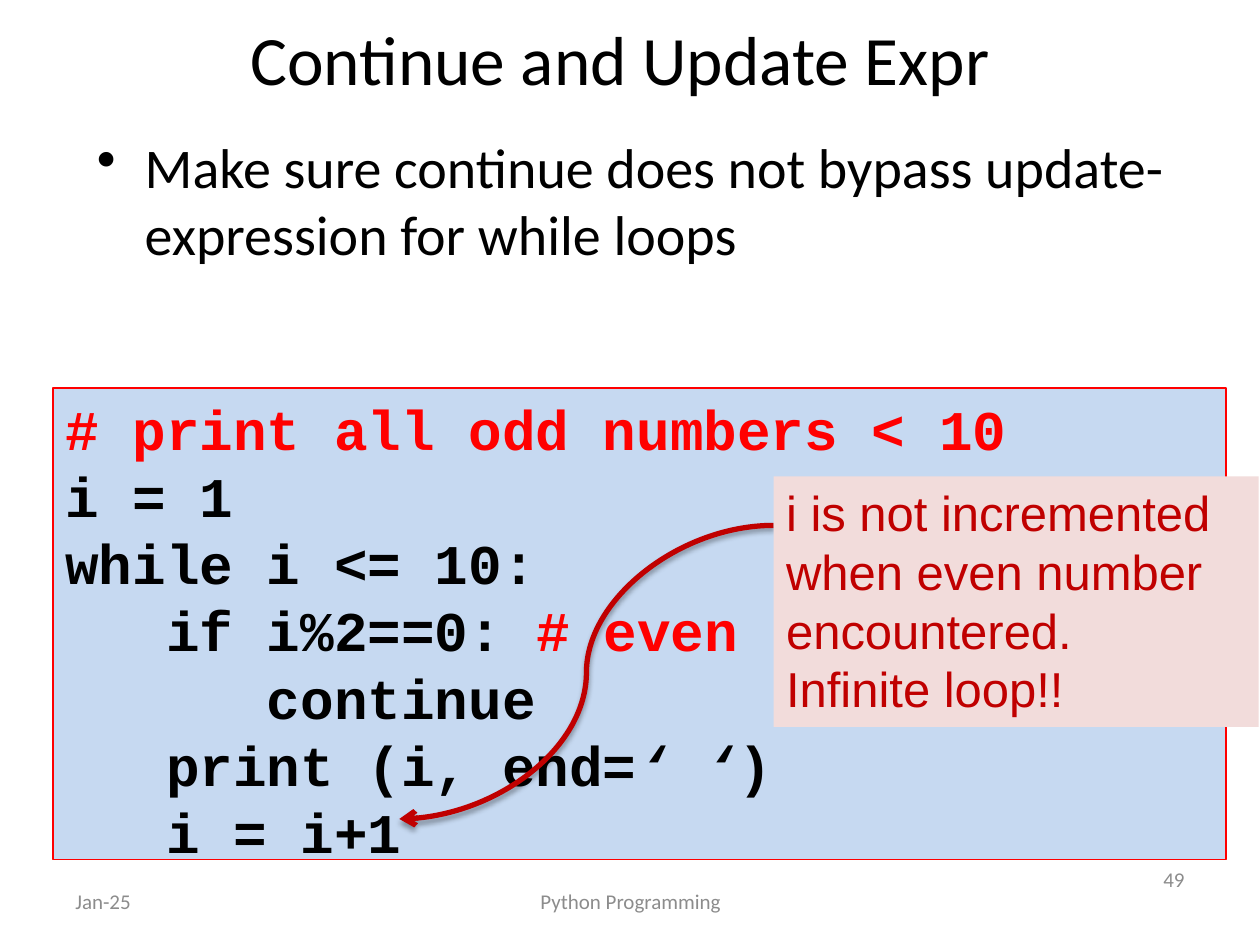
import pptx
import pptx.util
import pptx.dml.color
import pptx.enum.shapes
import pptx.enum.text
import pptx.oxml
import pptx.oxml.ns

PX = 9144
COLORS = {
    "black": "000000", "gray": "8C8C8C", "red": "FF0000",
    "blue": "C6D9F1", "pink": "F2DCDB", "crimson": "C00000",
}
ALIGN = pptx.enum.text.PP_ALIGN
ANCHOR = pptx.enum.text.MSO_ANCHOR
CODE = [
    [("# print all odd numbers < 10", {"color": "red"})],
    [("i = 1", {})],
    [("while i <= 10:", {})],
    [("   if i%2==0: ", {}), ("# even", {"color": "red"})],
    [("      continue", {})],
    [("   print (i, end=", {}), ("‘ ‘", {"italic": True}), (")", {})],
    [("   i = i+1", {})],
]


def rgb(name):
    return pptx.dml.color.RGBColor.from_string(COLORS[name])


def emu(box):
    return [length * PX for length in box]


def write(shape, lines, size, font="Calibri", color="black", bold=False,
          align=ALIGN.LEFT, anchor=ANCHOR.TOP, bullet=None):
    frame = shape.text_frame
    frame.word_wrap = True
    frame.vertical_anchor = anchor
    for index, line in enumerate(lines):
        para = frame.paragraphs[0] if index == 0 else frame.add_paragraph()
        para.alignment = align
        if bullet:
            properties = para._p.get_or_add_pPr()
            properties.set("marL", str(38 * PX))
            properties.set("indent", str(-38 * PX))
            mark = pptx.oxml.parse_xml(
                f'<a:buChar {pptx.oxml.ns.nsdecls("a")} char="{bullet}"/>')
            properties.append(mark)
        for text, style in [(line, {})] if isinstance(line, str) else line:
            span = para.add_run()
            span.text = text
            span.font.name = font
            span.font.size = pptx.util.Pt(size)
            span.font.bold = bold
            span.font.italic = style.get("italic", False)
            span.font.color.rgb = rgb(style.get("color", color))


def add_text(page, box, text, **style):
    write(page.shapes.add_textbox(*emu(box)), [text], **style)


def add_panel(page, box, lines, fill, line=None, **style):
    panel = page.shapes.add_shape(
        pptx.enum.shapes.MSO_SHAPE.RECTANGLE, *emu(box))
    panel.shadow.inherit = False
    panel.fill.solid()
    panel.fill.fore_color.rgb = rgb(fill)
    if line:
        panel.line.color.rgb = rgb(line)
        panel.line.width = pptx.util.Pt(0.75)
    else:
        panel.line.fill.background()
    write(panel, lines, **style)


def add_arrow(page, start, end):
    arrow = page.shapes.add_connector(
        pptx.enum.shapes.MSO_CONNECTOR.CURVE, *emu(start + end))
    arrow.line.color.rgb = rgb("crimson")
    arrow.line.width = pptx.util.Pt(3)
    namespace = pptx.oxml.ns.nsdecls("a")
    arrow.line._get_or_add_ln().append(
        pptx.oxml.parse_xml(f'<a:tailEnd {namespace} type="arrow"/>'))
    arrow._element.spPr.append(pptx.oxml.parse_xml(
        f'<a:effectLst {namespace}><a:outerShdw blurRad="40000" dist="23000" '
        f'dir="5400000" rotWithShape="0"><a:srgbClr val="{COLORS["black"]}">'
        '<a:alpha val="35000"/></a:srgbClr></a:outerShdw></a:effectLst>'))


def add_heading(page, box):
    left, top, width, height = box
    add_text(page, (left, top, width - 25, 75), "Continue and Update Expr",
             size=39.6, align=ALIGN.CENTER, anchor=ANCHOR.MIDDLE)
    add_text(page, (left, top + 92, width, height - 92),
             "Make sure continue does not bypass update-expression for while loops",
             size=32, bullet="•")


def add_example(page, box):
    left, top, width, height = box
    add_panel(page, box, CODE, "blue", line="red", size=32,
              font="Courier New", bold=True)
    add_arrow(page, (left + 572, top + 109), (left + 275, top + 342))
    add_panel(page, (left + 572, top + 70, 385, 199),
              ["i is not incremented", "when even number", "encountered.",
               "Infinite loop!!"],
              "pink", size=28, font="Arial", color="crimson")


def add_footer(page, box):
    left, top, width, height = box
    parts = [
        (0, 17, 233, "Jan-25", ALIGN.LEFT),
        (292, 17, 317, "Python Programming", ALIGN.CENTER),
        (width - 233, 0, 233, "49", ALIGN.RIGHT),
    ]
    for across, down, span, text, align in parts:
        add_text(page, (left + across, top + down, span, height - 17), text,
                 size=12, color="gray", align=align, anchor=ANCHOR.MIDDLE)


def main():
    deck = pptx.Presentation()
    deck.slide_width, deck.slide_height = emu((1000, 750))
    page = deck.slides.add_slide(deck.slide_layouts[6])
    add_heading(page, (67, 8, 875, 283))
    add_example(page, (42, 308, 931, 374))
    add_footer(page, (50, 678, 900, 57))
    deck.save("out.pptx")


if __name__ == "__main__":
    main()
